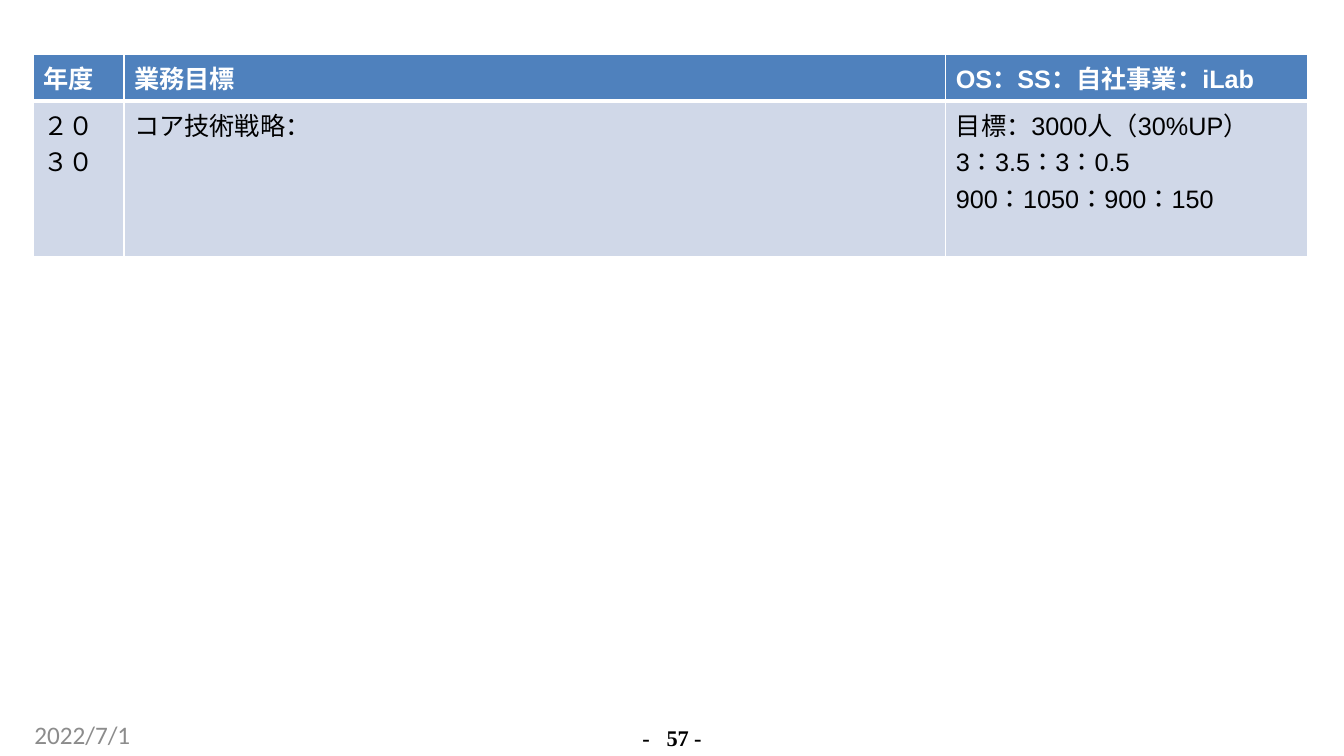
from dataclasses import dataclass

from lxml import etree
from pptx import Presentation
from pptx import util as u
from pptx.dml.color import RGBColor
from pptx.enum import text
from pptx.oxml import ns

COLORS = {
    "white": "FFFFFF",
    "black": "000000",
    "header": "4F81BD",
    "body": "D0D8E8",
    "date": "8C8C8C",
}
COLUMN_WIDTHS = (0.9, 8.15, 3.59)


@dataclass(frozen=True)
class RowStyle:
    cells: tuple[str, ...]
    height: float
    fill: str
    color: str
    bold: bool
    bottom_line: float


ROWS = (
    RowStyle(("年度", "業務目標", "OS：SS：自社事業：iLab"),
             0.46, "header", "white", True, 3),
    RowStyle(("２０３０", "コア技術戦略：",
              "目標：3000人（30%UP）\n3：3.5：3：0.5\n900：1050：900：150"),
             1.54, "body", "black", False, 1),
)


def color_of(name: str) -> RGBColor:
    return RGBColor.from_string(COLORS[name])


def write_text(text_frame, content: str, *, font: str, size: float, color: str,
               bold: bool = False, align=text.PP_ALIGN.LEFT) -> None:
    text_frame.text = content
    for paragraph in text_frame.paragraphs:
        paragraph.alignment = align
        for run in paragraph.runs:
            run.font.name = font
            run.font.size = u.Pt(size)
            run.font.bold = bold
            run.font.color.rgb = color_of(color)
            east_asian = etree.SubElement(run.font._element, ns.qn("a:ea"))
            east_asian.set("typeface", "Noto Sans CJK JP")


def set_borders(cell, bottom_width: float) -> None:
    properties = cell._tc.get_or_add_tcPr()
    widths = {"lnL": 1, "lnR": 1, "lnT": 1, "lnB": bottom_width}
    for index, (side, width) in enumerate(widths.items()):
        line = etree.Element(ns.qn(f"a:{side}"), w=str(u.Pt(width)))
        fill = etree.SubElement(line, ns.qn("a:solidFill"))
        etree.SubElement(fill, ns.qn("a:srgbClr"), val=COLORS["white"])
        properties.insert(index, line)


def add_goal_table(slide) -> None:
    frame = slide.shapes.add_table(
        len(ROWS), len(COLUMN_WIDTHS), u.Inches(0.33), u.Inches(0.54),
        u.Inches(sum(COLUMN_WIDTHS)), u.Inches(sum(row.height for row in ROWS)))
    table = frame.table
    for column, width in zip(table.columns, COLUMN_WIDTHS):
        column.width = u.Inches(width)
    for row, style in zip(table.rows, ROWS):
        row.height = u.Inches(style.height)
        for cell, content in zip(row.cells, style.cells):
            write_text(cell.text_frame, content, font="Arial", size=18,
                       color=style.color, bold=style.bold)
            cell.fill.solid()
            cell.fill.fore_color.rgb = color_of(style.fill)
            set_borders(cell, style.bottom_line)


def add_footer_box(slide, left: float, top: float, width: float, height: float):
    box = slide.shapes.add_textbox(*map(u.Inches, (left, top, width, height)))
    frame = box.text_frame
    frame.word_wrap = True
    frame.margin_left = frame.margin_right = 0
    frame.margin_top = frame.margin_bottom = 0
    return frame


def add_page_number(slide) -> None:
    frame = add_footer_box(slide, 6.23, 7.19, 0.86, 0.25)
    write_text(frame, "-\t57 -", font="Times New Roman", size=16,
               color="black", bold=True, align=text.PP_ALIGN.CENTER)
    paragraph = frame.paragraphs[0]
    paragraph.line_spacing = u.Pt(18.4)
    properties = paragraph._p.get_or_add_pPr()
    properties.set("marL", str(u.Inches(0.01)))
    tabs = etree.SubElement(properties, ns.qn("a:tabLst"))
    etree.SubElement(tabs, ns.qn("a:tab"), pos=str(u.Inches(0.24)), algn="l")
    for run in paragraph.runs:
        run.font._element.set("spc", "-10")


def add_date(slide) -> None:
    frame = add_footer_box(slide, 0.34, 7.14, 3.07, 0.3)
    write_text(frame, "2022/7/1", font="Calibri", size=18, color="date")


def main() -> None:
    presentation = Presentation()
    presentation.slide_width = u.Inches(13.33)
    presentation.slide_height = u.Inches(7.5)
    slide = presentation.slides.add_slide(presentation.slide_layouts[6])
    add_goal_table(slide)
    add_page_number(slide)
    add_date(slide)
    presentation.save("out.pptx")


if __name__ == "__main__":
    main()
